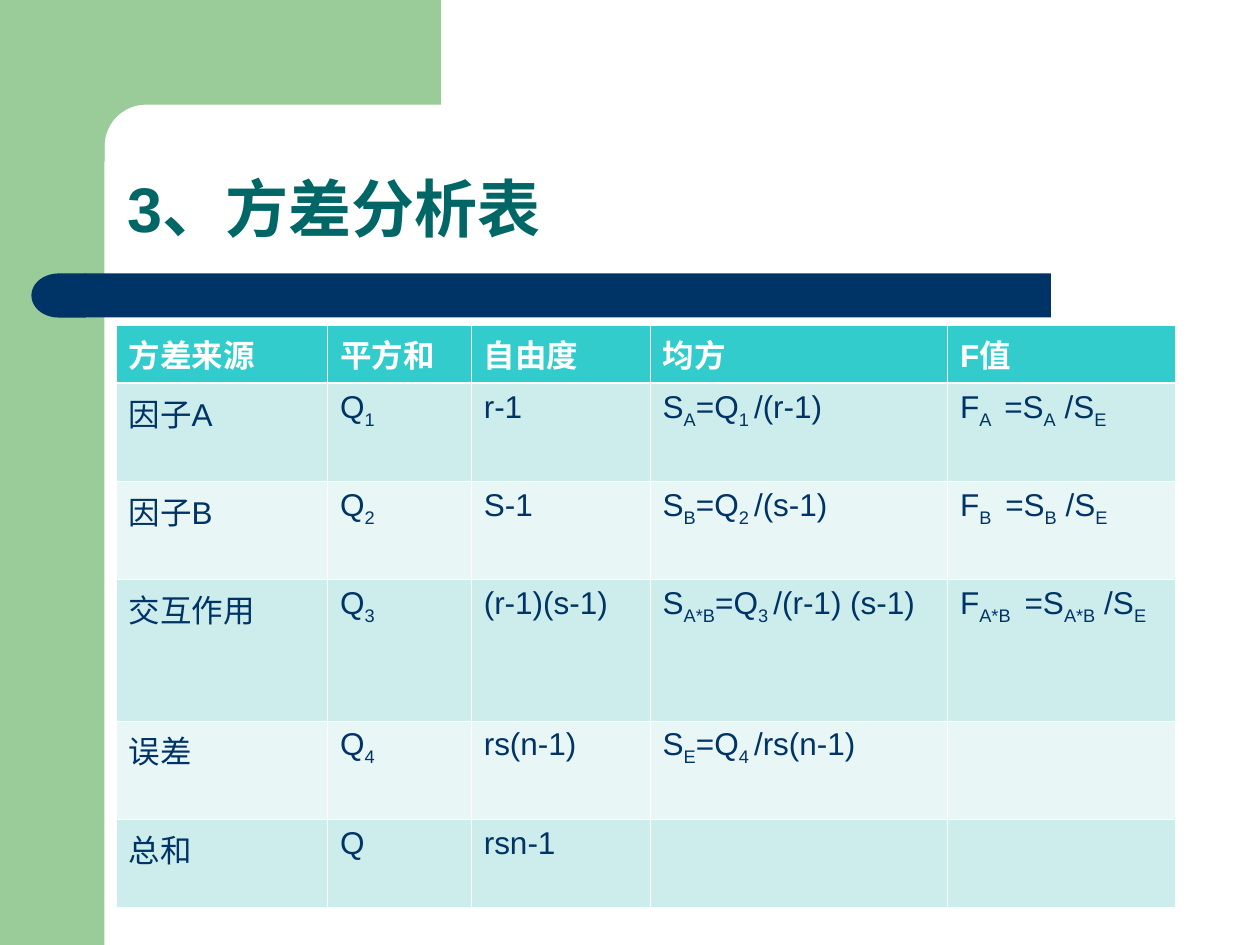
import math

from lxml import etree
from pptx import Presentation
from pptx.dml.color import RGBColor
from pptx.enum.shapes import MSO_SHAPE
from pptx.enum.text import MSO_ANCHOR, MSO_AUTO_SIZE, PP_ALIGN
from pptx.oxml.ns import qn
from pptx.util import Inches, Pt

RECTANGLE = MSO_SHAPE.RECTANGLE
DELAY = MSO_SHAPE.FLOWCHART_DELAY
BOTTOM = MSO_ANCHOR.BOTTOM
NO_AUTOFIT = MSO_AUTO_SIZE.NONE
LEFT = PP_ALIGN.LEFT

FONT = "Arial"
GREEN, NAVY, TEAL, WHITE = "99CC99", "003366", "006666", "FFFFFF"
HEADER_FILL = "33CCCC"
BAND_FILLS = ["E8F6F6", "CDECEC"]
THIN, THICK = 0.45, 1.47

COLUMN_WIDTHS = [1.68, 1.14, 1.42, 2.36, 1.81]
ROW_HEIGHTS = [0.4, 0.78, 0.78, 1.12, 0.78, 0.7]
# Square brackets enclose subscripts
ROWS = [
    ["方差来源", "平方和", "自由度", "均方", "F值"],
    ["因子A", "Q[1]", "r-1", "S[A]=Q[1 ]/(r-1)", "F[A ] =S[A] /S[E]"],
    ["因子B", "Q[2]", "S-1", "S[B]=Q[2 ]/(s-1)", "F[B ] =S[B] /S[E]"],
    ["交互作用", "Q[3]", "(r-1)(s-1)", "S[A*B]=Q[3 ]/(r-1) (s-1)",
     "F[A*B ] =S[A*B] /S[E]"],
    ["误差", "Q[4]", "rs(n-1)", "S[E]=Q[4 ]/rs(n-1)", ""],
    ["总和", "Q", "rsn-1", "", ""],
]


def color(value):
    return RGBColor.from_string(value)


def paint(shape, fill):
    shape.shadow.inherit = False
    shape.fill.solid()
    shape.fill.fore_color.rgb = color(fill)
    shape.line.fill.background()


def add_block(page, kind, left, top, width, height, fill):
    block = page.shapes.add_shape(
        kind, Inches(left), Inches(top), Inches(width), Inches(height))
    paint(block, fill)
    return block


def add_corner(page):
    """Top green band whose inner corner is a quarter circle."""
    center, radius = 1.16, 0.33
    arc = []
    for step in range(13):
        angle = math.radians(90 * step / 12)
        arc.append((center - radius * math.sin(angle),
                    center - radius * math.cos(angle)))
    points = [(3.5, 0), (3.5, 0.83), *arc, (0.83, 1.28), (0.5, 1.28), (0.5, 0)]
    corners = [(Inches(x), Inches(y)) for x, y in points]
    builder = page.shapes.build_freeform(*corners[0])
    builder.add_line_segments(corners[1:], close=True)
    paint(builder.convert_to_shape(), GREEN)


def style_paragraph(para, size, ink, bold):
    para.font.name = FONT
    para.font.size = Pt(size)
    para.font.bold = bold
    para.font.color.rgb = color(ink)


def add_title(page, text):
    title = page.shapes.title
    title.left, title.top = Inches(0.91), Inches(0.91)
    title.width, title.height = Inches(8.51), Inches(1.09)
    frame = title.text_frame
    frame.text = text
    frame.auto_size = NO_AUTOFIT
    frame.vertical_anchor = BOTTOM
    para = frame.paragraphs[0]
    para.alignment = LEFT
    para.line_spacing = 0.9
    style_paragraph(para, 36, TEAL, True)


def set_borders(cell, top, bottom):
    properties = cell._tc.get_or_add_tcPr()
    sides = [("a:lnL", THIN), ("a:lnR", THIN), ("a:lnT", top), ("a:lnB", bottom)]
    for index, (side, width) in enumerate(sides):
        line = etree.Element(qn(side), w=str(Pt(width)))
        fill = etree.SubElement(line, qn("a:solidFill"))
        etree.SubElement(fill, qn("a:srgbClr"), val=WHITE)
        properties.insert(index, line)


def fill_cell(cell, text, row):
    header = row == 0
    cell.fill.solid()
    cell.fill.fore_color.rgb = color(HEADER_FILL if header else BAND_FILLS[row % 2])
    set_borders(cell, THICK if row == 1 else THIN, THICK if header else THIN)
    para = cell.text_frame.paragraphs[0]
    style_paragraph(para, 18, WHITE if header else NAVY, header)
    # Every second piece stood inside brackets
    for index, piece in enumerate(text.replace("]", "[").split("[")):
        if piece:
            span = para.add_run()
            span.text = piece
            if index % 2:
                span.font._element.set("baseline", "-25000")


def add_variance_table(page):
    table = page.shapes.add_table(
        len(ROWS), len(COLUMN_WIDTHS), Inches(0.92), Inches(2.58),
        Inches(sum(COLUMN_WIDTHS)), Inches(sum(ROW_HEIGHTS))).table
    for column, width in zip(table.columns, COLUMN_WIDTHS):
        column.width = Inches(width)
    for row, texts in enumerate(ROWS):
        table.rows[row].height = Inches(ROW_HEIGHTS[row])
        for column, text in enumerate(texts):
            fill_cell(table.cell(row, column), text, row)


def main():
    deck = Presentation()
    deck.slide_width, deck.slide_height = Inches(10), Inches(7.5)
    page = deck.slides.add_slide(deck.slide_layouts[5])

    # Green frame
    add_block(page, RECTANGLE, 0, 0, 0.83, 7.5, GREEN)
    add_corner(page)

    # Navy bar with a rounded left end
    add_block(page, RECTANGLE, 0.67, 2.17, 7.67, 0.35, NAVY)
    bar_end = add_block(page, DELAY, 0.25, 2.17, 0.43, 0.35, NAVY)
    bar_end._element.spPr.xfrm.set("flipH", "1")

    add_title(page, "3、方差分析表")
    add_variance_table(page)
    deck.save("out.pptx")


if __name__ == "__main__":
    main()
